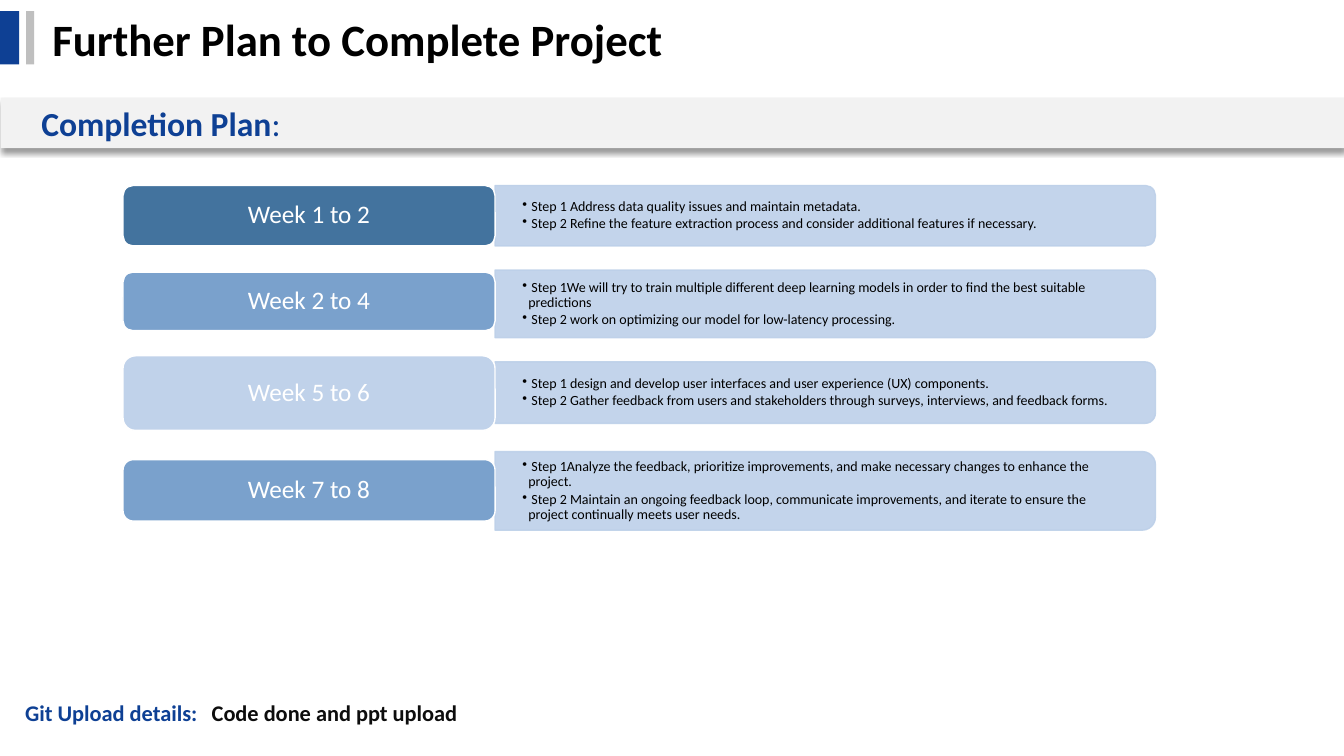
"""Build the project completion plan slide."""
from lxml.etree import SubElement
from pptx import Presentation
from pptx.dml.color import RGBColor
from pptx.enum.shapes import MSO_SHAPE
from pptx.enum.text import MSO_ANCHOR, PP_ALIGN
from pptx.oxml.ns import qn
from pptx.util import Inches, Pt

NAVY = RGBColor(0x0E, 0x40, 0x94)
GRAY = RGBColor(0xBF, 0xBF, 0xBF)
BAND = RGBColor(0xF2, 0xF2, 0xF2)
BLACK = RGBColor(0, 0, 0)
INK = RGBColor(0x0D, 0x0D, 0x0D)
WHITE = RGBColor(0xFF, 0xFF, 0xFF)
STEEL = RGBColor(0x43, 0x73, 0x9E)
BLUE = RGBColor(0x7A, 0xA1, 0xCC)
PALE = RGBColor(0xC0, 0xD2, 0xEA)
ICE = RGBColor(0xBD, 0xD0, 0xE9)

LABEL_LEFT, LABEL_WIDTH = 1.22, 3.69
STEPS_LEFT, STEPS_WIDTH = LABEL_LEFT + LABEL_WIDTH, 6.55

WEEKS = [
    ("Week 1 to 2", STEEL, 1.84, 0.6, 1.84, 0.6, [
        " Step 1 Address data quality issues and maintain metadata.",
        " Step 2 Refine the feature extraction process and consider additional features if necessary."]),
    ("Week 2 to 4", BLUE, 2.7, 0.58, 2.68, 0.67, [
        " Step 1We will try to train multiple different deep learning models in order to find the best suitable predictions",
        " Step 2 work on optimizing our model for low-latency processing."]),
    ("Week 5 to 6", PALE, 3.53, 0.74, 3.59, 0.61, [
        " Step 1 design and develop user interfaces and user experience (UX) components.",
        " Step 2 Gather feedback from users and stakeholders through surveys, interviews, and feedback forms."]),
    ("Week 7 to 8", BLUE, 4.56, 0.61, 4.48, 0.78, [
        " Step 1Analyze the feedback, prioritize improvements, and make necessary changes to enhance the project.",
        " Step 2 Maintain an ongoing feedback loop, communicate improvements, and iterate to ensure the project continually meets user needs."]),
]


class Deck:
    """Hold the font and the current slide, and draw its elements."""

    def __init__(self, font="Calibri"):
        self.prs = Presentation()
        self.prs.slide_width, self.prs.slide_height = Inches(13.33), Inches(7.5)
        self.font = font
        self.s = self.prs.slides.add_slide(self.prs.slide_layouts[6])

    def shape(self, kind, left, top, width, height, fill, line=None):
        """Add a filled preset shape."""
        sp = self.s.shapes.add_shape(kind, Inches(left), Inches(top), Inches(width), Inches(height))
        sp.shadow.inherit = False
        sp.fill.solid()
        sp.fill.fore_color.rgb = fill
        if line is None:
            sp.line.fill.background()
        else:
            sp.line.color.rgb = line
            sp.line.width = Pt(1)
        return sp

    def box(self, left, top, width, height):
        """Add an empty text box."""
        return self.s.shapes.add_textbox(Inches(left), Inches(top), Inches(width), Inches(height))

    def frame(self, sp, anchor, side=0.1, edge=0.05):
        """Set wrapping, anchor and insets of a shape's text."""
        tf = sp.text_frame
        tf.word_wrap = True
        tf.vertical_anchor = anchor
        tf.margin_left = tf.margin_right = Inches(side)
        tf.margin_top = tf.margin_bottom = Inches(edge)
        return tf

    def style(self, r, size, color, bold=False):
        """Format one run."""
        r.font.name, r.font.size, r.font.bold = self.font, Pt(size), bold
        r.font.color.rgb = color

    def line(self, tf, parts, size, align=PP_ALIGN.LEFT):
        """Write one line of (text, color, bold) parts."""
        p = tf.paragraphs[0]
        p.alignment = align
        for text, color, bold in parts:
            r = p.add_run()
            r.text = text
            self.style(r, size, color, bold)
        return p

    def band(self, left, top, width, height):
        """Add a heading band with a soft shadow below it."""
        sp = self.shape(MSO_SHAPE.RECTANGLE, left, top, width, height, BAND)
        effects = sp._element.spPr.find(qn("a:effectLst"))
        shadow = SubElement(effects, qn("a:outerShdw"), blurRad=str(Pt(4)), dist=str(Pt(3)),
                            dir="5400000", algn="t", rotWithShape="0")
        color = SubElement(shadow, qn("a:srgbClr"), val="000000")
        SubElement(color, qn("a:alpha"), val="40000")
        return sp

    def panel(self, top, height):
        """Add a steps panel rounded on its right side."""
        left = STEPS_LEFT + (STEPS_WIDTH - height) / 2
        sp = self.shape(MSO_SHAPE.ROUND_2_SAME_RECTANGLE, left, top + (height - STEPS_WIDTH) / 2,
                        height, STEPS_WIDTH, ICE, ICE)
        sp.rotation = 90
        for color in sp._element.spPr.iter(qn("a:srgbClr")):
            SubElement(color, qn("a:alpha"), val="90000")

    def steps(self, top, height, items):
        """Write the bulleted steps of one panel."""
        sp = self.box(STEPS_LEFT, top + 0.03, STEPS_WIDTH - 0.03, height - 0.06)
        tf = self.frame(sp, MSO_ANCHOR.MIDDLE, 0.27, 0.14)
        for i, item in enumerate(items):
            p = tf.add_paragraph() if i else tf.paragraphs[0]
            p.text = item
            p.level = 1
            p.line_spacing = 0.9
            p.space_after = Pt(1.5)
            pPr = p._p.get_or_add_pPr()
            pPr.set("marL", str(Inches(0.06)))
            pPr.set("indent", str(Inches(-0.06)))
            SubElement(pPr, qn("a:buChar"), char="•")
            self.style(p.runs[0], 10, BLACK)

    def week(self, name, color, top, height, panel_top, panel_height, items):
        """Add one row: steps panel and week label."""
        self.panel(panel_top, panel_height)
        self.steps(panel_top, panel_height, items)
        sp = self.shape(MSO_SHAPE.ROUNDED_RECTANGLE, LABEL_LEFT, top, LABEL_WIDTH, height, color, WHITE)
        tf = self.frame(sp, MSO_ANCHOR.MIDDLE, 0.1, 0.04)
        p = self.line(tf, [(name, WHITE, False)], 18, PP_ALIGN.CENTER)
        p.line_spacing = 0.9


def main():
    """Draw the slide and save it."""
    deck = Deck()
    deck.shape(MSO_SHAPE.RECTANGLE, 0, 0.11, 0.19, 0.53, NAVY)
    deck.shape(MSO_SHAPE.RECTANGLE, 0.26, 0.11, 0.08, 0.53, GRAY)
    title = deck.frame(deck.box(0.42, 0.06, 10.28, 0.64), MSO_ANCHOR.MIDDLE)
    deck.line(title, [("Further Plan to Complete Project", BLACK, True)], 32)

    heading = deck.frame(deck.band(0.01, 0.97, 13.33, 0.5), MSO_ANCHOR.TOP, 0.4)
    deck.line(heading, [("Completion Plan", NAVY, True), (":", NAVY, False)], 24)

    for row in WEEKS:
        deck.week(*row)

    upload = deck.frame(deck.box(0, 6.89, 6.67, 0.57), MSO_ANCHOR.TOP, 0.25)
    p = deck.line(upload, [("Git Upload details:\t", NAVY, True),
                           ("Code done and ppt upload", INK, True)], 16)
    tabs = SubElement(p._p.get_or_add_pPr(), qn("a:tabLst"))
    SubElement(tabs, qn("a:tab"), pos=str(Inches(1.85)), algn="l")

    deck.prs.save("out.pptx")


if __name__ == "__main__":
    main()
